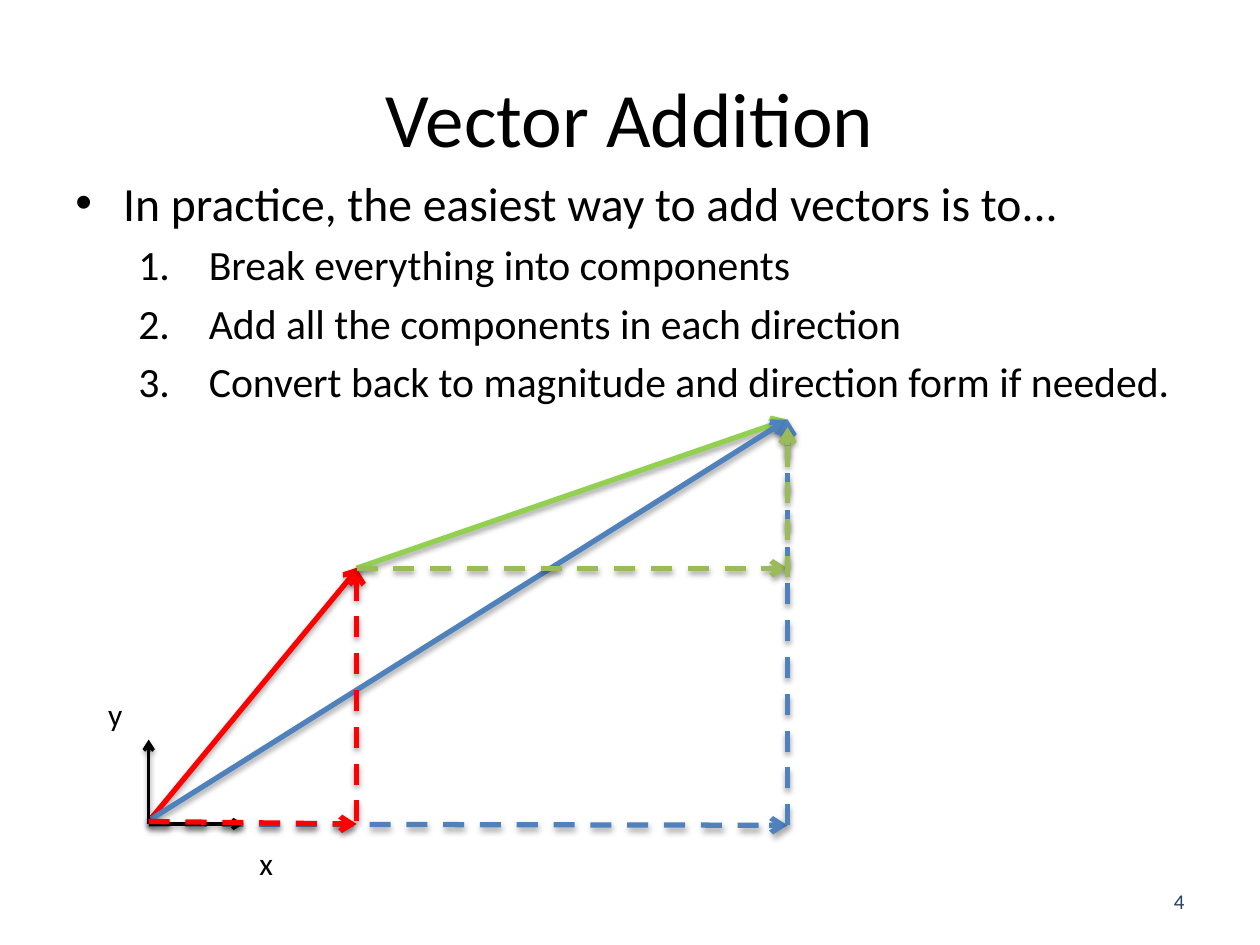
from lxml.etree import SubElement
from pptx import Presentation
from pptx.dml.color import RGBColor
from pptx.enum.dml import MSO_LINE
from pptx.enum.shapes import MSO_CONNECTOR
from pptx.enum.text import MSO_ANCHOR, PP_ALIGN
from pptx.oxml.ns import qn
from pptx.util import Pt

EMU_PER_PX = 9144  # 100 px to the inch
FONT = "Calibri"
COLORS = {
    "text": "000000",
    "number": "254061",
    "first": "FF0000",
    "second": "92D050",
    "second_part": "9BBB59",
    "sum": "4F81BD",
}
STEPS = [
    "Break everything into components",
    "Add all the components in each direction",
    "Convert back to magnitude and direction form if needed.",
]


def px(value):
    return value * EMU_PER_PX


def color(name):
    return RGBColor.from_string(COLORS[name])


def add_text_frame(slide, box, **frame_format):
    frame = slide.shapes.add_textbox(*map(px, box)).text_frame
    for name, value in {"word_wrap": True, **frame_format}.items():
        setattr(frame, name, value)
    return frame


def write(paragraph, text, size, color_name="text", **paragraph_format):
    for name, value in paragraph_format.items():
        setattr(paragraph, name, value)
    run = paragraph.add_run()
    run.text = text
    for name, value in {"name": FONT, "size": Pt(size)}.items():
        setattr(run.font, name, value)
    run.font.color.rgb = color(color_name)


def set_bullet(paragraph, margin, hanging, tag, **attributes):
    """Give the paragraph a hanging indent and a bullet or number."""
    properties = paragraph._p.get_or_add_pPr()
    properties.set("marL", str(px(margin)))
    properties.set("indent", str(-px(hanging)))
    SubElement(properties, qn("a:buFont"), typeface="Arial" if tag == "a:buChar" else "+mj-lt")
    SubElement(properties, qn(tag), **attributes)


def add_title(slide, box):
    frame = add_text_frame(slide, box, vertical_anchor=MSO_ANCHOR.MIDDLE)
    write(frame.paragraphs[0], "Vector Addition", 44, alignment=PP_ALIGN.CENTER)


def add_body(slide, box):
    frame = add_text_frame(slide, box)
    lead = frame.paragraphs[0]
    set_bullet(lead, 38, 38, "a:buChar", char="•")
    write(lead, "In practice, the easiest way to add vectors is to...", 27.2)
    for step in STEPS:
        paragraph = frame.add_paragraph()
        set_bullet(paragraph, 106, 56, "a:buAutoNum", type="arabicPeriod")
        write(paragraph, step, 23.8, level=1, space_before=Pt(4.8))


def add_slide_number(slide, box):
    frame = add_text_frame(slide, box, vertical_anchor=MSO_ANCHOR.MIDDLE)
    write(frame.paragraphs[0], "4", 12, "number", alignment=PP_ALIGN.RIGHT)


def add_arrow(slide, start, end, color_name, width=3, dashed=False):
    """Draw an arrow with an open head at its end and a soft shadow below."""
    arrow = slide.shapes.add_connector(MSO_CONNECTOR.STRAIGHT, *map(px, (*start, *end)))
    arrow.line.color.rgb = color(color_name)
    arrow.line.width = Pt(width)
    if dashed:
        arrow.line.dash_style = MSO_LINE.DASH
    properties = arrow._element.spPr
    SubElement(properties.find(qn("a:ln")), qn("a:tailEnd"), type="arrow")
    effects = SubElement(properties, qn("a:effectLst"))
    shadow = SubElement(effects, qn("a:outerShdw"), blurRad="40000", dist="23000",
                        dir="5400000", rotWithShape="0")
    shade = SubElement(shadow, qn("a:srgbClr"), val="000000")
    SubElement(shade, qn("a:alpha"), val="35000")


def add_axes(slide, origin):
    left, top = origin
    add_arrow(slide, origin, (left + 75, top), "text", width=2)
    add_arrow(slide, origin, (left, top - 67), "text", width=2)
    for label, across, down in [("x", 78, 11), ("y", -42, -107)]:
        box = (left + across, top + down, 32, 40)
        frame = add_text_frame(slide, box, word_wrap=False)
        write(frame.paragraphs[0], label, 18)


def add_vector_diagram(slide, box):
    """Draw two vectors, their sum and the components of all three."""
    left, top, width, height = box
    right, base = left + width, top + height
    middle, joint = left + 165, top + 118

    def component(start, end, color_name):
        add_arrow(slide, start, end, color_name, dashed=True)

    component((left, base - 1), (right, base), "sum")
    add_arrow(slide, (left, base - 3), (middle + 2, joint - 1), "first")
    add_arrow(slide, (middle, joint), (right, top), "second")
    add_arrow(slide, (left + 2, base - 5), (right, top), "sum")
    add_axes(slide, (left, base - 1))
    component((left, base - 3), (middle, base - 1), "first")
    component((middle, base - 3), (middle, joint), "first")
    component((right, base), (right, top), "sum")
    component((middle, joint), (right, joint), "second_part")
    component((right, joint + 7), (right, top + 6), "second_part")


def main():
    presentation = Presentation()
    presentation.slide_width = px(1000)
    presentation.slide_height = px(750)
    slide = presentation.slides.add_slide(presentation.slide_layouts[6])
    add_title(slide, (50, 30, 900, 125))
    add_body(slide, (50, 133, 900, 175))
    add_slide_number(slide, (717, 695, 233, 40))
    add_vector_diagram(slide, (118, 333, 507, 322))
    presentation.save("out.pptx")


if __name__ == "__main__":
    main()
